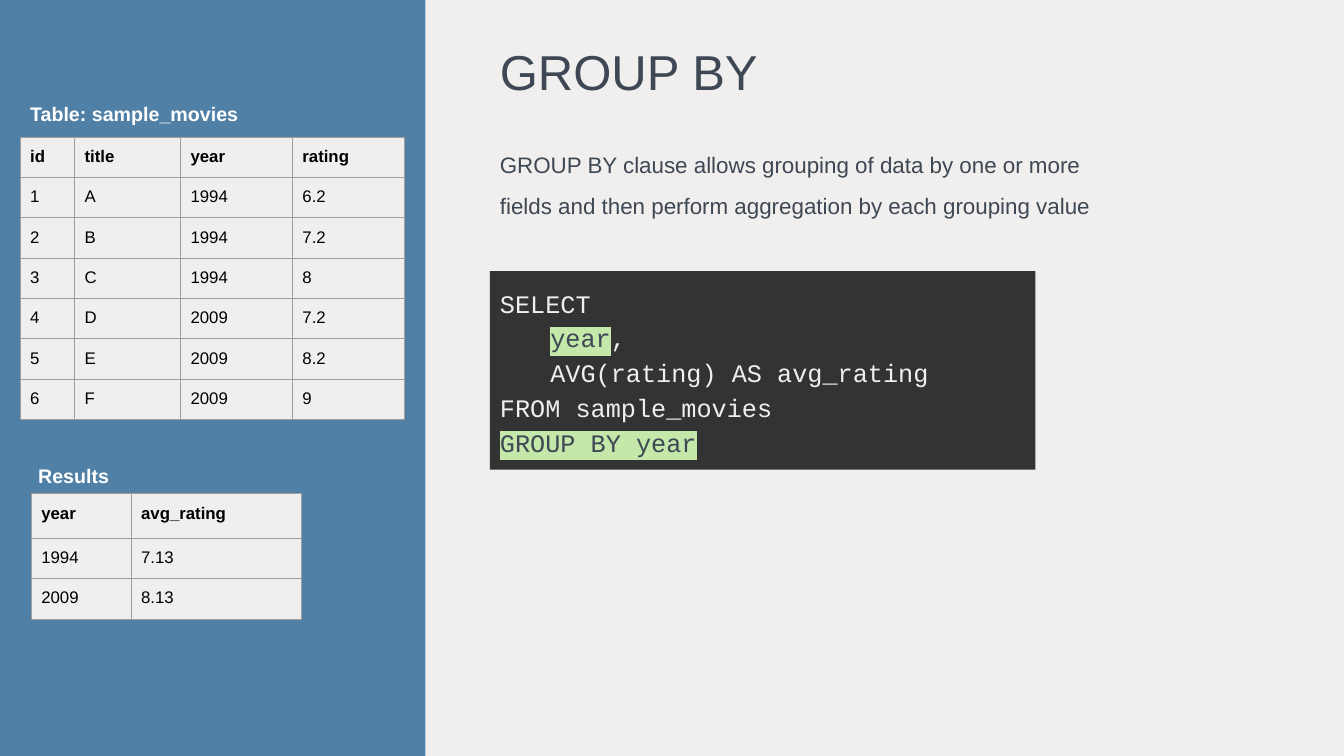
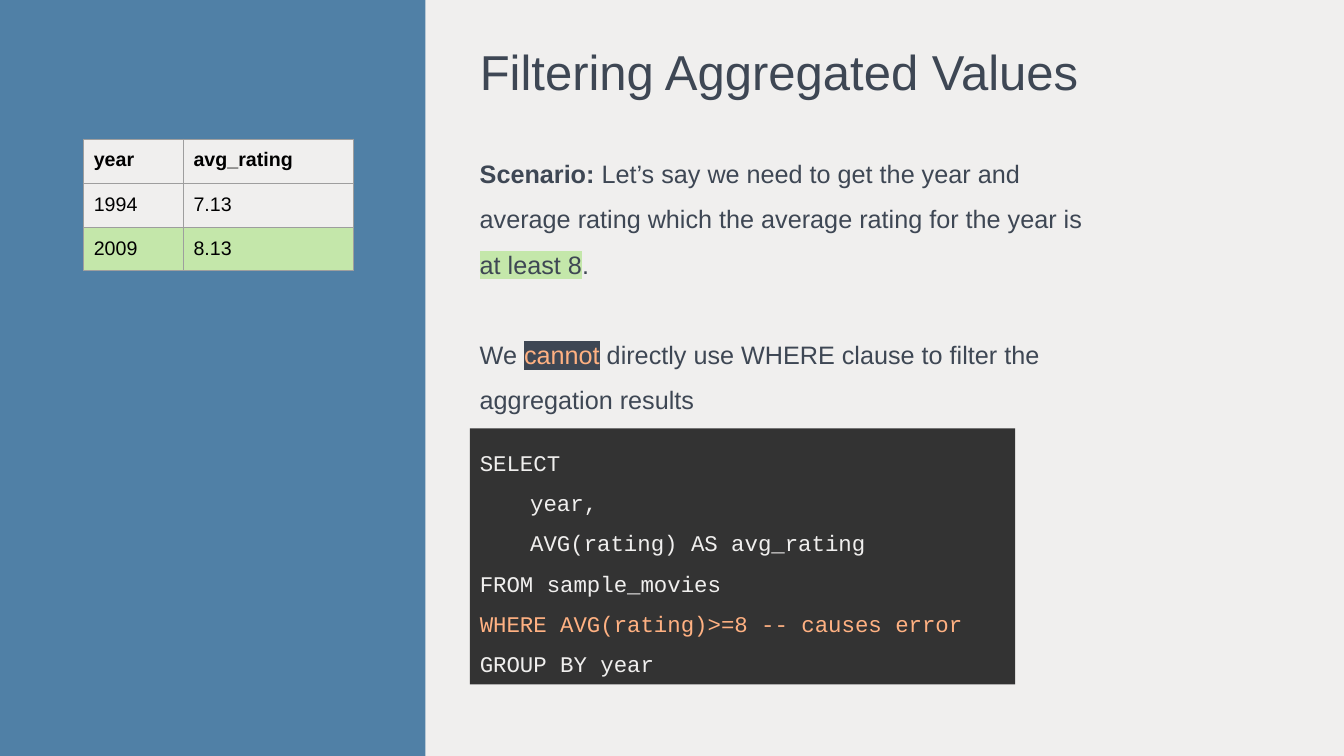
"""Build two slides on grouping and filtering aggregated values in SQL."""
from dataclasses import dataclass
from typing import Optional

from lxml.etree import SubElement
from pptx import Presentation
from pptx.dml.color import RGBColor
from pptx.enum.shapes import MSO_SHAPE
from pptx.enum.text import MSO_ANCHOR, PP_ALIGN
from pptx.oxml.ns import qn
from pptx.util import Inches, Pt

PAPER = RGBColor(0xF0, 0xEF, 0xEE)
BLUE = RGBColor(0x50, 0x80, 0xA6)
SLATE = RGBColor(0x3E, 0x47, 0x54)
CHARCOAL = RGBColor(0x33, 0x33, 0x33)
GREEN = RGBColor(0xC4, 0xE7, 0xAA)
ORANGE = RGBColor(0xFF, 0xB1, 0x82)
GREY = RGBColor(0x9E, 0x9E, 0x9E)
WHITE = RGBColor(0xFF, 0xFF, 0xFF)
BLACK = RGBColor(0, 0, 0)
SANS, MONO = "Arial", "Courier New"


@dataclass(frozen=True)
class Span:
    text: str
    color: Optional[RGBColor] = None
    highlight: Optional[RGBColor] = None
    bold: Optional[bool] = None


@dataclass(frozen=True)
class Para:
    spans: tuple[Span, ...]
    indent: float = 0
    before: float = 0


@dataclass(frozen=True)
class Style:
    size: float
    color: RGBColor
    spacing: float = 1
    font: str = SANS
    bold: bool = False
    inset: float = 0.1
    anchor: MSO_ANCHOR = MSO_ANCHOR.TOP


@dataclass(frozen=True)
class Box:
    left: float
    top: float
    width: float
    height: float

    def emu(self) -> tuple:
        return tuple(map(Inches, (self.left, self.top, self.width, self.height)))


@dataclass(frozen=True)
class Grid:
    left: float
    top: float
    widths: tuple[float, ...]
    heights: tuple[float, ...]
    rows: tuple[tuple[str, ...], ...]
    size: float = 12
    marked_row: Optional[int] = None


TITLE = Style(35, SLATE, 0.9, inset=0.05, anchor=MSO_ANCHOR.MIDDLE)
CAPTION = Style(14, WHITE, 0.9, bold=True)

MOVIES = (
    ("id", "title", "year", "rating"),
    ("1", "A", "1994", "6.2"),
    ("2", "B", "1994", "7.2"),
    ("3", "C", "1994", "8"),
    ("4", "D", "2009", "7.2"),
    ("5", "E", "2009", "8.2"),
    ("6", "F", "2009", "9"),
)
AVERAGES = (("year", "avg_rating"), ("1994", "7.13"), ("2009", "8.13"))
AVERAGE_WIDTHS = (0.99, 1.69)


def body_style(size: float) -> Style:
    return Style(size, SLATE, 1.5, inset=0.05)


def code_style(size: float, spacing: float) -> Style:
    return Style(size, PAPER, spacing, MONO, anchor=MSO_ANCHOR.MIDDLE)


def line(text: str, indent: float = 0, color: Optional[RGBColor] = None,
         highlight: Optional[RGBColor] = None) -> Para:
    return Para((Span(text, color, highlight),), indent)


def write(tf, paras: list[Para], style: Style) -> None:
    tf.word_wrap = True
    tf.vertical_anchor = style.anchor
    tf.margin_left = tf.margin_right = Inches(0.1)
    tf.margin_top = tf.margin_bottom = Inches(style.inset)
    for i, para in enumerate(paras):
        p = tf.add_paragraph() if i else tf.paragraphs[0]
        p.alignment = PP_ALIGN.LEFT
        p.line_spacing = style.spacing
        p.space_before = Pt(para.before)
        p.font.name, p.font.size, p.font.bold = style.font, Pt(style.size), style.bold
        p.font.color.rgb = style.color
        if para.indent:
            p._p.get_or_add_pPr().set("marL", str(Inches(para.indent)))
        for span in para.spans:
            r = p.add_run()
            r.text = span.text
            r.font.bold = span.bold
            if span.color is not None:
                r.font.color.rgb = span.color
            if span.highlight is not None:
                mark = SubElement(r._r.get_or_add_rPr(), qn("a:highlight"))
                SubElement(mark, qn("a:srgbClr"), val=str(span.highlight))


def add_text(slide, box: Box, paras: list[Para], style: Style) -> None:
    write(slide.shapes.add_textbox(*box.emu()).text_frame, paras, style)


def add_rect(slide, box: Box, color: RGBColor):
    sp = slide.shapes.add_shape(MSO_SHAPE.RECTANGLE, *box.emu())
    sp.shadow.inherit = False
    sp.fill.solid()
    sp.fill.fore_color.rgb = color
    sp.line.fill.background()
    return sp


def add_code(slide, box: Box, paras: list[Para], style: Style) -> None:
    write(add_rect(slide, box, CHARCOAL).text_frame, paras, style)


def set_borders(cell) -> None:
    tc_pr = cell._tc.get_or_add_tcPr()
    for side in ("lnL", "lnR", "lnT", "lnB"):
        ln = SubElement(tc_pr, qn(f"a:{side}"), w=str(Pt(0.75)))
        fill = SubElement(ln, qn("a:solidFill"))
        SubElement(fill, qn("a:srgbClr"), val=str(GREY))


def add_grid(slide, grid: Grid) -> None:
    box = Box(grid.left, grid.top, sum(grid.widths), sum(grid.heights))
    table = slide.shapes.add_table(len(grid.rows), len(grid.widths), *box.emu()).table
    table.first_row = table.horz_banding = False
    for column, width in zip(table.columns, grid.widths):
        column.width = Inches(width)
    for i, (row, height) in enumerate(zip(grid.rows, grid.heights)):
        table.rows[i].height = Inches(height)
        for j, text in enumerate(row):
            cell = table.cell(i, j)
            cell.margin_left = cell.margin_right = Inches(0.1)
            cell.margin_top = cell.margin_bottom = Inches(0.1)
            set_borders(cell)
            cell.fill.solid()
            cell.fill.fore_color.rgb = GREEN if i == grid.marked_row else PAPER
            p = cell.text_frame.paragraphs[0]
            p.text = text
            font = p.font
            font.name, font.size, font.bold = SANS, Pt(grid.size), i == 0
            font.color.rgb = BLACK


def add_slide(prs, title: str, left: float, width: float):
    slide = prs.slides.add_slide(prs.slide_layouts[6])
    slide.background.fill.solid()
    slide.background.fill.fore_color.rgb = PAPER
    add_rect(slide, Box(0, 0, 4.22, 7.5), BLUE)
    add_text(slide, Box(left, 0.16, width, 1.16), [line(title)], TITLE)
    return slide


def build_group_by(prs) -> None:
    left = 4.86
    slide = add_slide(prs, "GROUP BY", left, 6.47)
    add_text(slide, Box(left, 1.32, 6.14, 0.94), [
        line("GROUP BY clause allows grouping of data by one or more fields "
             "and then perform aggregation by each grouping value"),
    ], body_style(16))
    add_code(slide, Box(left, 2.69, 5.41, 1.97), [
        line("SELECT"),
        Para((Span("year", SLATE, GREEN), Span(",")), 0.5),
        line("AVG(rating) AS avg_rating", 0.5),
        line("FROM sample_movies"),
        line("GROUP BY year", color=SLATE, highlight=GREEN),
    ], code_style(18, 1.15))
    add_text(slide, Box(0.2, 0.94, 3.82, 0.41), [line("Table: sample_movies")], CAPTION)
    add_grid(slide, Grid(0.2, 1.36, (0.54, 1.05, 1.11, 1.11), (0.39,) * 7, MOVIES))
    add_text(slide, Box(0.28, 4.53, 3.82, 0.41), [line("Results")], CAPTION)
    add_grid(slide, Grid(0.31, 4.9, AVERAGE_WIDTHS, (0.44, 0.4, 0.4), AVERAGES))


def build_filtering(prs) -> None:
    left = 4.66
    slide = add_slide(prs, "Filtering Aggregated Values", left, 7.75)
    add_text(slide, Box(left, 1.37, 6.36, 2.85), [
        Para((
            Span("Scenario:", bold=True),
            Span(" Let’s say we need to get the year and average rating "
                 "which the average rating for the year is "),
            Span("at least 8", SLATE, GREEN),
            Span("."),
        )),
        Para((
            Span("We "),
            Span("cannot", ORANGE, SLATE),
            Span(" directly use WHERE clause to filter the aggregation results"),
        ), before=32),
    ], body_style(18))
    add_code(slide, Box(left, 4.25, 5.41, 2.54), [
        line("SELECT"),
        line("year,", 0.5),
        line("AVG(rating) AS avg_rating", 0.5),
        line("FROM sample_movies"),
        line("WHERE AVG(rating)>=8 -- causes error", color=ORANGE),
        line("GROUP BY year"),
    ], code_style(16, 1.5))
    add_grid(slide, Grid(0.83, 1.38, AVERAGE_WIDTHS, (0.44, 0.42, 0.42), AVERAGES,
                         size=14, marked_row=2))


def main() -> None:
    prs = Presentation()
    prs.slide_width, prs.slide_height = Inches(13.33), Inches(7.5)
    build_group_by(prs)
    build_filtering(prs)
    prs.save("out.pptx")


if __name__ == "__main__":
    main()
